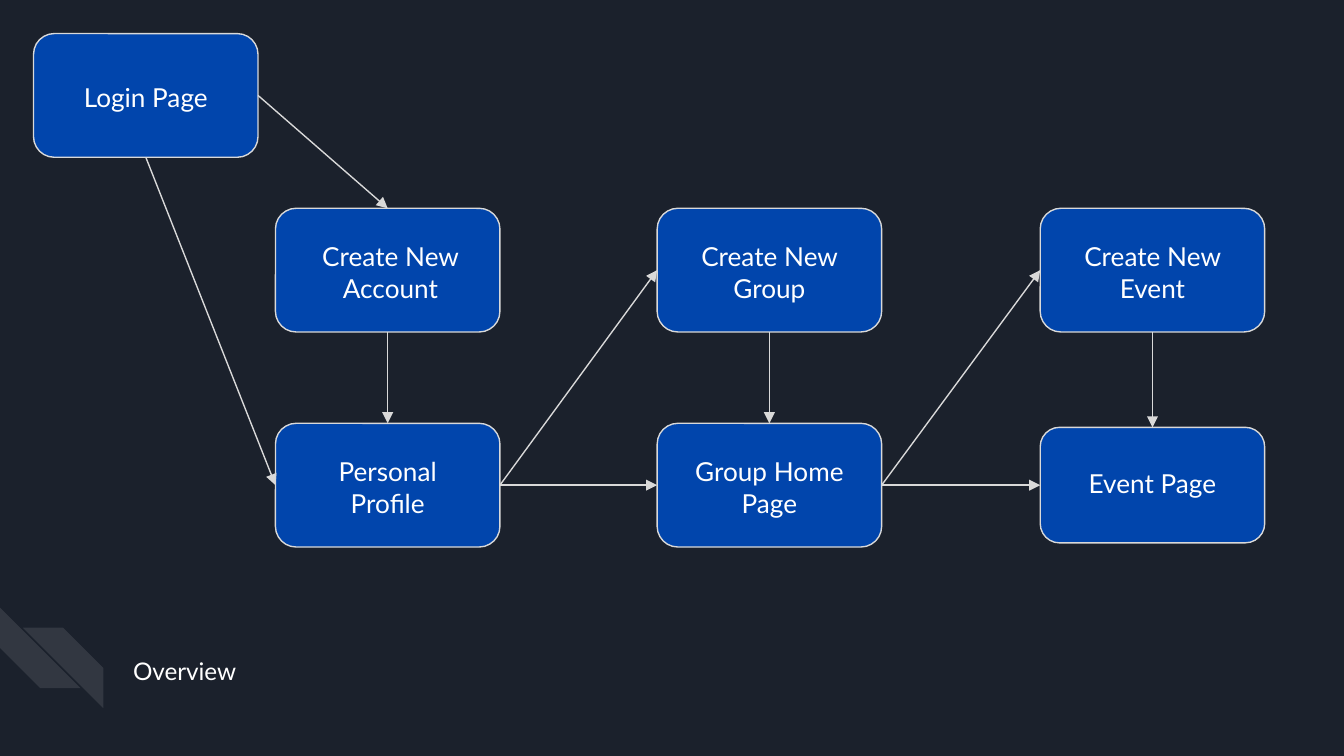
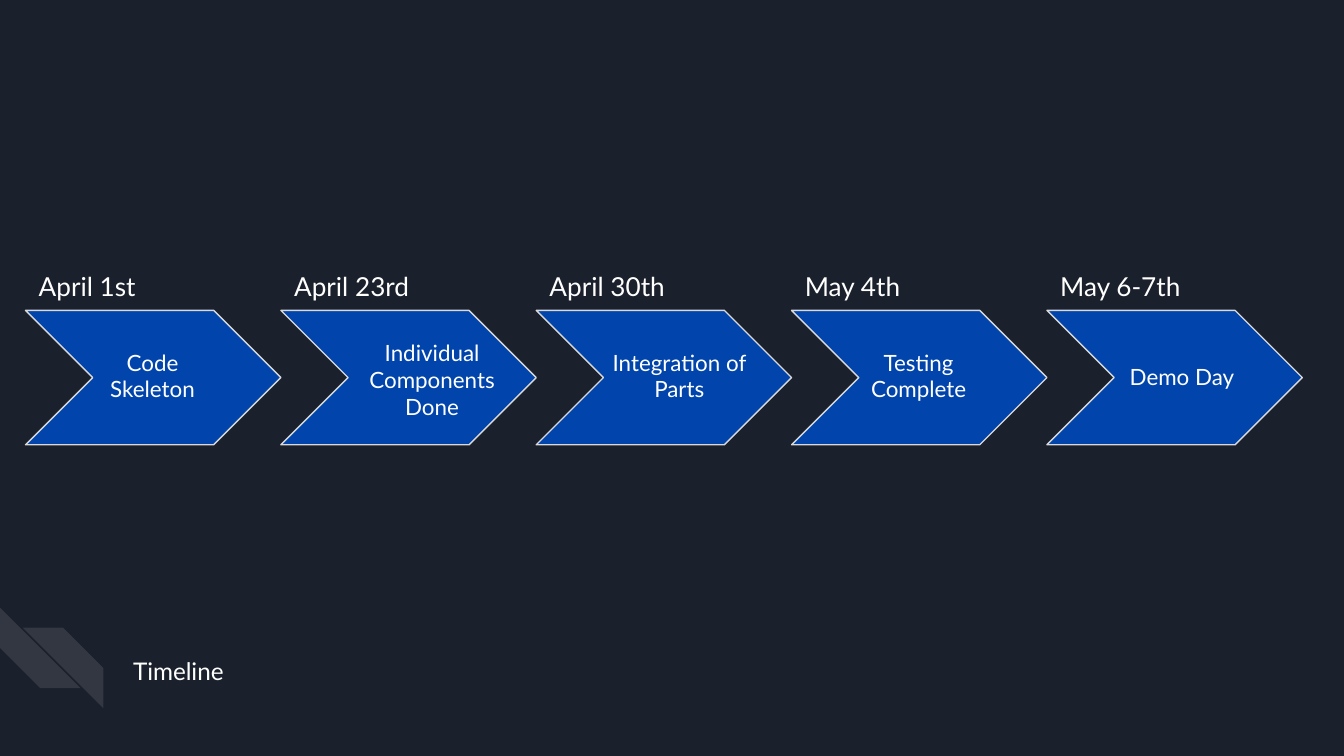
from dataclasses import dataclass
from typing import Any

import lxml.etree
import pptx
import pptx.dml.color
import pptx.enum.shapes
import pptx.enum.text
import pptx.oxml.ns
import pptx.util

Inches = pptx.util.Inches
Kind = pptx.enum.shapes.MSO_SHAPE
Align = pptx.enum.text.PP_ALIGN
Anchor = pptx.enum.text.MSO_ANCHOR
qn = pptx.oxml.ns.qn

BACK = "1B212C"
BLUE = "0145AC"
GRAY = "D9D9D9"
WHITE = "FFFFFF"
FONT = "Lato"

BOX_W = 1.67
BOX_H = 0.92
LABEL_W = 1.32
ONE_LINE = 0.41
TOP, LEFT, BOTTOM, RIGHT = range(4)

STEP_LEFT = 0.19
STEP_TOP = 2.31
STEP_W = 1.9
STEP_H = 1.0
DATE_TOP = 1.91
DATE_W = 1.53


@dataclass(frozen=True)
class Area:
    left: float
    top: float
    width: float
    height: float

    def spans(self) -> tuple:
        return (Inches(self.left), Inches(self.top),
                Inches(self.width), Inches(self.height))


@dataclass(frozen=True)
class Node:
    text: str
    left: float
    top: float
    height: float = BOX_H
    label: float = 0.64
    right: float = 0
    down: float = 0


@dataclass(frozen=True)
class Link:
    start: str
    leave: int
    end: str
    enter: int


@dataclass(frozen=True)
class Step:
    date: str
    task: str
    indent: float
    width: float
    height: float


COLUMNS = (2.05, 4.89, 7.74)
UPPER, LOWER = 1.55, 3.15

NODES = {
    "login": Node("Login Page", 0.25, 0.25, label=ONE_LINE),
    "account": Node("Create New Account", COLUMNS[0], UPPER, right=0.02),
    "profile": Node("Personal Profile", COLUMNS[0], LOWER),
    "new group": Node("Create New Group", COLUMNS[1], UPPER),
    "group": Node("Group Home Page", COLUMNS[1], LOWER),
    "new event": Node("Create New Event", COLUMNS[2], UPPER),
    "event": Node("Event Page", COLUMNS[2], 3.18, 0.86, ONE_LINE, down=-0.03),
}

LINKS = (
    Link("login", RIGHT, "account", TOP),
    Link("login", BOTTOM, "profile", LEFT),
    Link("account", BOTTOM, "profile", TOP),
    Link("profile", RIGHT, "new group", LEFT),
    Link("profile", RIGHT, "group", LEFT),
    Link("new group", BOTTOM, "group", TOP),
    Link("group", RIGHT, "new event", LEFT),
    Link("group", RIGHT, "event", LEFT),
    Link("new event", BOTTOM, "event", TOP),
)

STEPS = (
    Step("April 1st", "Code Skeleton", 0.45, 0.99, 0.63),
    Step("April 23rd", "Individual Components Done", 0.45, 1.35, 0.77),
    Step("April 30th", "Integration of Parts", 0.45, 1.23, 0.63),
    Step("May 4th", "Testing Complete", 0.4, 1.09, 0.63),
    Step("May 6-7th", "Demo Day", 0.46, 1.09, ONE_LINE),
)


def color(code: str) -> Any:
    return pptx.dml.color.RGBColor.from_string(code)


def write(frame: Any, text: str, size: int, align: Any,
          anchor: Any = Anchor.TOP) -> None:
    frame.word_wrap = True
    frame.auto_size = pptx.enum.text.MSO_AUTO_SIZE.NONE
    frame.vertical_anchor = anchor
    frame.margin_left = frame.margin_right = Inches(0.1)
    frame.margin_top = frame.margin_bottom = Inches(0.1)
    frame.text = text
    para = frame.paragraphs[0]
    para.alignment = align
    para.space_before = pptx.util.Pt(0)
    para.font.name = FONT
    para.font.size = pptx.util.Pt(size)
    para.font.color.rgb = color(WHITE)


def label(slide: Any, area: Area, text: str, size: int, align: Any) -> None:
    box = slide.shapes.add_textbox(*area.spans())
    write(box.text_frame, text, size, align)


def block(slide: Any, kind: Any, area: Area) -> Any:
    shape = slide.shapes.add_shape(kind, *area.spans())
    shape.shadow.inherit = False
    shape.fill.solid()
    shape.fill.fore_color.rgb = color(BLUE)
    shape.line.color.rgb = color(GRAY)
    shape.line.width = pptx.util.Pt(0.75)
    return shape


def arrow(slide: Any, start: Any, leave: int, end: Any, enter: int) -> None:
    line = slide.shapes.add_connector(
        pptx.enum.shapes.MSO_CONNECTOR.STRAIGHT, 0, 0, 0, 0)
    line.begin_connect(start, leave)
    line.end_connect(end, enter)
    line.line.color.rgb = color(GRAY)
    line.line.width = pptx.util.Pt(0.75)
    props = line.element.spPr
    lxml.etree.SubElement(props.find(qn("a:ln")), qn("a:tailEnd"), type="triangle")
    lxml.etree.SubElement(props, qn("a:effectLst"))


def stripe(slide: Any, left: float, top: float) -> Any:
    shape = block(slide, Kind.DIAGONAL_STRIPE, Area(left, top, 0.6, 0.6))
    shape.fill.fore_color.rgb = color(WHITE)
    shape.line.fill.background()
    tint = shape.element.spPr.find(qn("a:solidFill")).find(qn("a:srgbClr"))
    lxml.etree.SubElement(tint, qn("a:alpha"), val="10000")
    return shape


def dress(slide: Any) -> None:
    layout = slide.slide_layout
    layout.background.fill.solid()
    layout.background.fill.fore_color.rgb = color(BACK)
    outer = stripe(slide, 0, 4.52)
    outer.rotation = 270
    inner = stripe(slide, 0.17, 4.67)
    inner.element.spPr.find(qn("a:xfrm")).set("flipH", "1")
    for number, shape in enumerate((outer, inner), 20):
        shape.element.nvSpPr.cNvPr.set("id", str(number))
        layout.shapes.element.append(shape.element)


def start(deck: Any, text: str) -> Any:
    slide = deck.slides.add_slide(deck.slide_layouts[2])
    title = slide.shapes.title.element
    title.getparent().remove(title)
    body = slide.placeholders[1]
    body.left, body.top, body.width, body.height = Area(0.89, 4.71, 7.59, 0.57).spans()
    write(body.text_frame, text, 13, Align.LEFT, Anchor.MIDDLE)
    return slide


def draw_flow(slide: Any) -> None:
    boxes = {}
    for name, node in NODES.items():
        boxes[name] = block(slide, Kind.ROUNDED_RECTANGLE,
                            Area(node.left, node.top, BOX_W, node.height))
        area = Area(node.left + (BOX_W - LABEL_W) / 2 + node.right,
                    node.top + (node.height - node.label) / 2 + node.down,
                    LABEL_W, node.label)
        label(slide, area, node.text, 14, Align.CENTER)
    for link in LINKS:
        arrow(slide, boxes[link.start], link.leave, boxes[link.end], link.enter)


def draw_steps(slide: Any) -> None:
    for index, step in enumerate(STEPS):
        left = STEP_LEFT + index * STEP_W
        block(slide, Kind.CHEVRON, Area(left, STEP_TOP, STEP_W, STEP_H))
        label(slide, Area(left, DATE_TOP, DATE_W, ONE_LINE),
              step.date, 14, Align.LEFT)
        area = Area(left + step.indent, STEP_TOP + (STEP_H - step.height) / 2,
                    step.width, step.height)
        label(slide, area, step.task, 12, Align.CENTER)


def main() -> None:
    deck = pptx.Presentation()
    deck.slide_width = Inches(10)
    deck.slide_height = Inches(10 * 9 / 16)
    flow = start(deck, "Overview")
    dress(flow)
    draw_flow(flow)
    draw_steps(start(deck, "Timeline"))
    deck.save("out.pptx")


if __name__ == "__main__":
    main()
